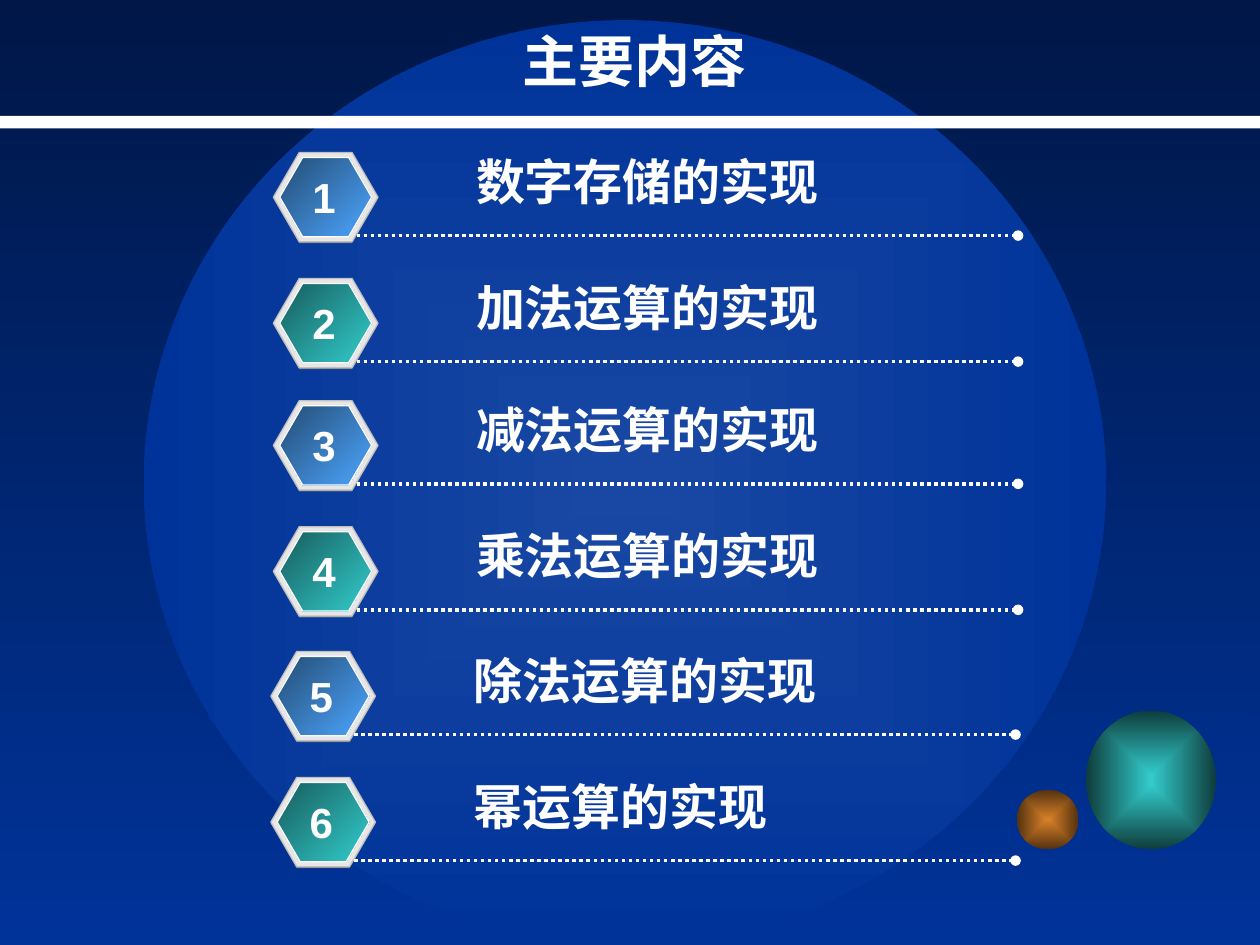
from lxml import etree
from pptx import Presentation
from pptx import util as u
from pptx.dml.color import RGBColor
from pptx.enum import dml, shapes, text
from pptx.oxml.ns import qn

TITLE = "主要内容"
BLUE, TEAL = ("234C74", "4DA6FF"), ("175D5D", "33CCCC")
WHITE = "FFFFFF"
# heading, hexagon left, hexagon top
TOPICS = [
    ("数字存储的实现", 2.17, 1.21),
    ("加法运算的实现", 2.17, 2.21),
    ("减法运算的实现", 2.17, 3.18),
    ("乘法运算的实现", 2.17, 4.18),
    ("除法运算的实现", 2.15, 5.17),
    ("幂运算的实现", 2.15, 6.17),
]
# left, top, width, height, centre colour, edge colour
DISCS = [
    (1.14, 0.16, 7.64, 7.34, "1948A4", "003399"),
    (8.62, 5.64, 1.03, 1.1, "33CCCC", "0F3D3D"),
    (8.07, 6.27, 0.49, 0.47, "D88028", "54320F"),
]
HEADING_SIZE, INSET = 28, 0.1


def color(value):
    return RGBColor.from_string(value)


def inches(*lengths):
    return [u.Inches(length) for length in lengths]


def set_gradient(fill, colors, angle=0):
    """Linear gradient; the angle is measured clockwise."""
    fill.gradient()
    fill.gradient_angle = -angle % 360
    for stop, position, value in zip(fill.gradient_stops, (0, 1), colors):
        stop.position = position
        stop.color.rgb = color(value)


def make_radial(shape):
    """Turn a linear gradient into one that spreads from the centre."""
    gradient = shape._element.spPr.find(qn("a:gradFill"))
    gradient.remove(gradient.find(qn("a:lin")))
    spread = etree.SubElement(gradient, qn("a:path"), {"path": "rect"})
    centre = {side: "50000" for side in "ltrb"}
    etree.SubElement(spread, qn("a:fillToRect"), centre)


def add_shape(parent, kind, box, fill, line=None, angle=0):
    shape = parent.add_shape(kind, *inches(*box))
    shape.shadow.inherit = False
    if isinstance(fill, tuple):
        set_gradient(shape.fill, fill, angle)
    else:
        shape.fill.solid()
        shape.fill.fore_color.rgb = color(fill)
    if line:
        shape.line.color.rgb = color(line)
        shape.line.width = u.Pt(0.75)
    else:
        shape.line.fill.background()
    return shape


def add_hexagon(parent, box, fill, line=None):
    add_shape(parent, shapes.MSO_SHAPE.HEXAGON, box, fill, line, 45).adjustments[0] = 0.29


def add_text(parent, box, words, size, font, align, wrap=False):
    frame = parent.add_textbox(*inches(*box)).text_frame
    frame.word_wrap = wrap
    frame.vertical_anchor = text.MSO_ANCHOR.MIDDLE if wrap else text.MSO_ANCHOR.TOP
    paragraph = frame.paragraphs[0]
    paragraph.alignment = align
    run = paragraph.add_run()
    run.text = words
    for name, value in {"size": u.Pt(size), "bold": True, "name": font}.items():
        setattr(run.font, name, value)
    run.font.color.rgb = color(WHITE)
    etree.SubElement(run._r.get_or_add_rPr(), qn("a:ea"), {"typeface": font})


def add_dotted_line(parent, left, top, length):
    rule = parent.add_connector(
        shapes.MSO_CONNECTOR.STRAIGHT, *inches(left, top, left + length, top))
    rule.line.color.rgb = color(WHITE)
    rule.line.width = u.Pt(2)
    rule.line.dash_style = dml.MSO_LINE.ROUND_DOT
    etree.SubElement(rule.line._get_or_add_ln(), qn("a:tailEnd"), {"type": "oval"})
    etree.SubElement(rule._element.spPr, qn("a:effectLst"))


def add_topic(slide, number, heading, left, top):
    group = slide.shapes.add_group_shape().shapes
    add_hexagon(group, (left, top + 0.01, 0.83, 0.71), "808080")
    add_hexagon(group, (left, top, 0.83, 0.71), "E6E6E6", "C0C0C0")
    add_hexagon(group, (left + 0.05, top + 0.04, 0.73, 0.63),
                BLUE if number % 2 else TEAL, WHITE)
    add_dotted_line(group, left + 0.66, top + 0.66, 5.25)
    width = len(heading) * HEADING_SIZE / 72 + 2 * INSET
    add_text(group, (left + 1.51, top - 0.06, width, 0.57), heading,
             HEADING_SIZE, "Noto Sans CJK SC", text.PP_ALIGN.LEFT)
    add_text(group, (left + 0.21, top + 0.1, 0.38, 0.5), str(number),
             24, "Arial", text.PP_ALIGN.CENTER)


def main():
    deck = Presentation()
    deck.slide_width, deck.slide_height = inches(10, 7.5)
    slide = deck.slides.add_slide(deck.slide_layouts[6])
    set_gradient(slide.background.fill, ("001747", "003399"), 90)
    for *box, centre, edge in DISCS:
        make_radial(add_shape(slide.shapes, shapes.MSO_SHAPE.OVAL, box, (centre, edge)))
    add_shape(slide.shapes, shapes.MSO_SHAPE.RECTANGLE, (0, 0.92, 10, 0.1), WHITE)
    add_text(slide.shapes, (0.58, 0.17, 8.92, 0.62), TITLE, 32, "DejaVu Sans",
             text.PP_ALIGN.CENTER, wrap=True)
    for number, topic in enumerate(TOPICS, 1):
        add_topic(slide, number, *topic)
    deck.save("out.pptx")


if __name__ == "__main__":
    main()
